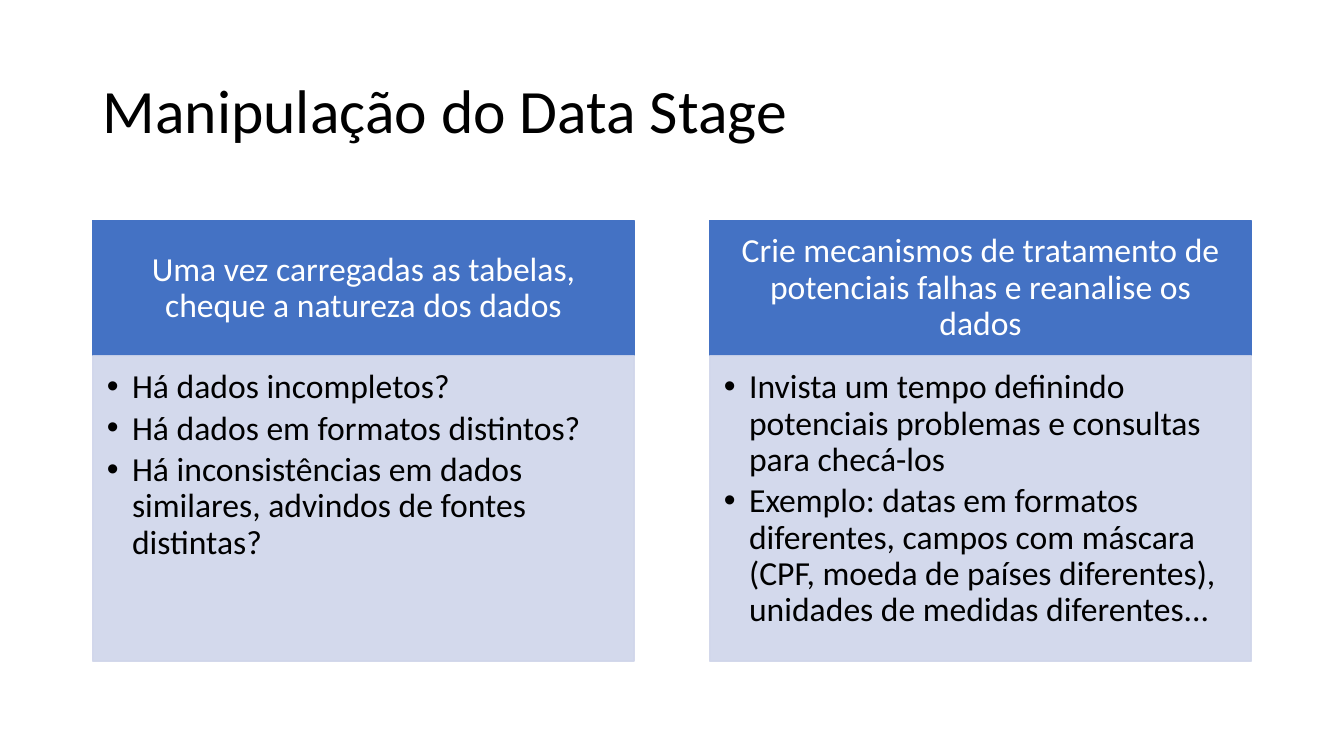
from lxml import etree
from pptx import Presentation
from pptx import util as u
from pptx.dml.color import RGBColor
from pptx.enum import shapes, text
from pptx.oxml.ns import qn

W, H = 13.33, 7.5
LEFT, COL_W, PITCH = 0.92, 5.37, 6.12
TOP, HEAD_H, BODY_H = 2.19, 1.34, 3.03
BLUE, PALE, BLACK, WHITE = "4472C4", "CFD5EA", "000000", "FFFFFF"


def paint(color_format, value, alpha=100):
    color_format.fore_color.rgb = RGBColor.from_string(value)
    if alpha < 100:
        for clr in color_format._xPr.iter(qn("a:srgbClr")):
            if clr.find(qn("a:alpha")) is None:
                etree.SubElement(clr, qn("a:alpha"), val=str(alpha * 1000))


def write(sp, lines, size, color, anchor, align, insets, after=0):
    tf = sp.text_frame
    tf.word_wrap = True
    tf.vertical_anchor = anchor
    tf.margin_left, tf.margin_top, tf.margin_right, tf.margin_bottom = map(u.Inches, insets)
    tf.text = "\n".join(lines)
    for p in tf.paragraphs:
        p.alignment = align
        p.line_spacing = 0.9
        p.space_after = u.Pt(after)
        for r in p.runs:
            r.font.name = "Calibri"
            r.font.size = u.Pt(size)
            paint(r.font.fill if r.font.fill.type else (r.font.fill.solid() or r.font.fill), color)


prs = Presentation()
prs.slide_width, prs.slide_height = u.Inches(W), u.Inches(H)
s = prs.slides.add_slide(prs.slide_layouts[6])

title = s.shapes.add_textbox(*map(u.Inches, (LEFT, 0.4, 11.5, 1.45)))
write(title, ["Manipulação do Data Stage"], 44, BLACK, text.MSO_ANCHOR.MIDDLE,
      text.PP_ALIGN.LEFT, (0.1, 0.05, 0.1, 0.05))

columns = [
    ("Uma vez carregadas as tabelas, cheque a natureza dos dados",
     ["Há dados incompletos?",
      "Há dados em formatos distintos?",
      "Há inconsistências em dados similares, advindos de fontes distintas?"]),
    ("Crie mecanismos de tratamento de potenciais falhas e reanalise os dados",
     ["Invista um tempo definindo potenciais problemas e consultas para checá-los",
      "Exemplo: datas em formatos diferentes, campos com máscara "
      "(CPF, moeda de países diferentes), unidades de medidas diferentes..."]),
]

for i, (heading, items) in enumerate(columns):
    x = LEFT + i * PITCH
    boxes = []
    for y, h, color, alpha in ((TOP, HEAD_H, BLUE, 100), (TOP + HEAD_H, BODY_H, PALE, 90)):
        sp = s.shapes.add_shape(shapes.MSO_SHAPE.RECTANGLE, *map(u.Inches, (x, y, COL_W, h)))
        sp.shadow.inherit = False
        sp.line.width = u.Pt(1)
        for fill in (sp.fill, sp.line.fill):
            fill.solid()
            paint(fill, color, alpha)
        boxes.append(sp)
    head, body = boxes
    write(head, [heading], 24, WHITE, text.MSO_ANCHOR.MIDDLE, text.PP_ALIGN.CENTER,
          (0.19, 0.11, 0.19, 0.11), 8.4)
    write(body, items, 24, BLACK, text.MSO_ANCHOR.TOP, text.PP_ALIGN.LEFT,
          (0.14, 0.14, 0.19, 0.21), 3.6)
    for p in body.text_frame.paragraphs:
        p.level = 1
        pPr = p._p.get_or_add_pPr()
        pPr.set("marL", str(u.Inches(0.25)))
        pPr.set("indent", str(-u.Inches(0.25)))
        etree.SubElement(pPr, qn("a:buFont"), typeface="Arial")
        etree.SubElement(pPr, qn("a:buChar"), char="•")

prs.save("out.pptx")
